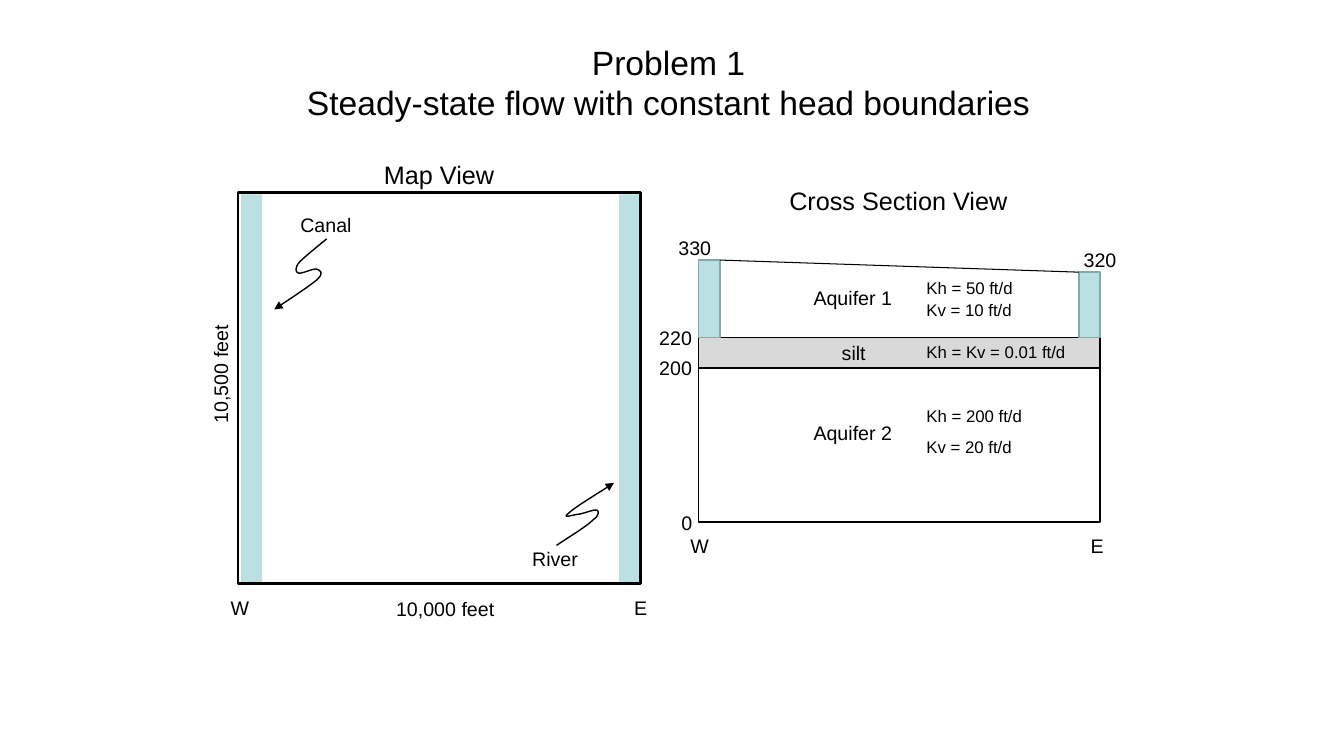
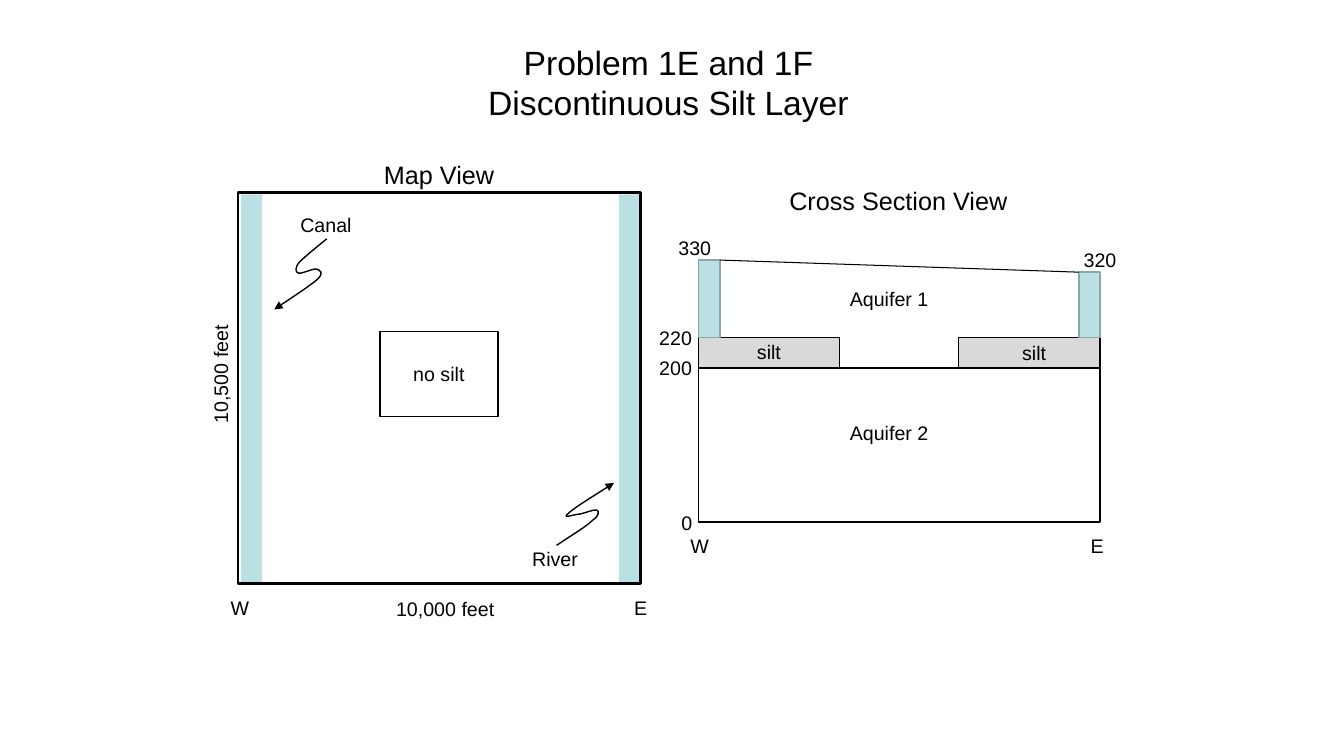
"""Builds two slides on steady-state flow: map view and cross section of an aquifer system."""
from lxml.etree import SubElement
from pptx import Presentation
from pptx.dml.color import RGBColor
from pptx.enum.shapes import MSO_CONNECTOR, MSO_SHAPE
from pptx.enum.text import MSO_ANCHOR, MSO_AUTO_SIZE, PP_ALIGN
from pptx.oxml.ns import qn
from pptx.util import Pt

EMU_PER_PX = 9144
SLIDE_SIZE = (1333, 750)
FONT = "Arial"
BLACK, WHITE, WATER, WATER_EDGE, SILT = "000000", "FFFFFF", "BBE0E3", "8AA6A8", "D9D9D9"
LABEL_HEIGHTS = {12: 30, 14: 34, 18: 40}

TITLE_BOX = (214, 30, 898, 103)
MAP_BOX = (236, 191, 399, 388)
WATER_WIDTH = 21
MAP_WATER_LEFTS = (239, 614)
MAP_WATER_TOP, MAP_WATER_HEIGHT = 193, 386
SECTION_LEFT, SECTION_WIDTH = 693, 398
CANAL_TOP, RIVER_TOP, SILT_TOP, SILT_BASE, SECTION_BASE = 258, 270, 335, 365, 518

MAP_LABELS = [
    ("Map View", 371, 153, 131, 18),
    ("Canal", 288, 206, 71, 14),
    ("River", 518, 538, 66, 14),
    ("W", 219, 586, 39, 14),
    ("E", 619, 586, 33, 14),
    ("10,000 feet", 383, 587, 118, 14),
]
MAP_HEIGHT_LABEL = ("10,500 feet", 160, 354, 118, 14)
SECTION_LABELS = [
    ("Cross Section View", 773, 179, 239, 18),
    ("330", 663, 229, 53, 14),
    ("320", 1065, 241, 53, 14),
    ("220", 644, 318, 53, 14),
    ("200", 644, 348, 53, 14),
    ("0", 666, 502, 31, 14),
    ("W", 675, 525, 39, 14),
    ("E", 1072, 525, 33, 14),
]
POINTERS = [
    [(324, 237), (313, 246), (302, 255), (297, 260), (292, 266), (293, 270), (296, 271),
     (299, 272), (311, 266), (314, 267), (317, 268), (322, 270), (315, 277),
     (308, 283), (290, 295), (272, 307)],
    [(552, 541), (567, 531), (582, 522), (588, 516), (595, 511), (594, 507), (592, 506),
     (590, 505), (580, 509), (575, 510), (570, 510), (557, 515), (563, 510),
     (569, 504), (589, 492), (609, 479)],
]
SLIDES = [
    {
        "title": ("Problem 1", "Steady-state flow with constant head boundaries"),
        "silt": [(693, 398)],
        "no_silt": None,
        "labels": [
            ("Aquifer 1", 797, 279, 99, 14),
            ("Aquifer 2", 797, 413, 99, 14),
            ("silt", 825, 333, 44, 14),
            ("Kh = 50 ft/d", 909, 271, 107, 12),
            ("Kv = 10 ft/d", 909, 292, 106, 12),
            ("Kh = Kv = 0.01 ft/d", 909, 334, 160, 12),
            ("Kh = 200 ft/d", 909, 398, 116, 12),
            ("Kv = 20 ft/d", 909, 428, 106, 12),
        ],
    },
    {
        "title": ("Problem 1E and 1F", "Discontinuous Silt Layer"),
        "silt": [(693, 140), (951, 140)],
        "no_silt": {"box": (377, 329, 117, 84), "label": ("no silt", 400, 354, 71, 14)},
        "labels": [
            ("Aquifer 1", 833, 280, 99, 14),
            ("Aquifer 2", 833, 413, 99, 14),
            ("silt", 741, 332, 44, 14),
            ("silt", 1004, 333, 44, 14),
        ],
    },
]


def emu(*lengths):
    return [length * EMU_PER_PX for length in lengths]


def color(value):
    return RGBColor.from_string(value)


def set_font(paragraph, size):
    paragraph.font.name = FONT
    paragraph.font.size = Pt(size)
    paragraph.font.color.rgb = color(BLACK)


def set_line(shape, line_color, width):
    shape.line.color.rgb = color(line_color)
    shape.line.width = Pt(width)


def add_box(slide, box, fill=None, line=None, width=1):
    shape = slide.shapes.add_shape(MSO_SHAPE.RECTANGLE, *emu(*box))
    shape.shadow.inherit = False
    if fill:
        shape.fill.solid()
        shape.fill.fore_color.rgb = color(fill)
    else:
        shape.fill.background()
    if line:
        set_line(shape, line, width)
    else:
        shape.line.fill.background()


def add_label(slide, text, left, top, width, size):
    label = slide.shapes.add_textbox(*emu(left, top, width, LABEL_HEIGHTS[size]))
    frame = label.text_frame
    frame.word_wrap = False
    frame.auto_size = MSO_AUTO_SIZE.SHAPE_TO_FIT_TEXT
    frame.text = text
    set_font(frame.paragraphs[0], size)
    return label


def add_pointer(slide, points):
    builder = slide.shapes.build_freeform(*emu(*points[0]))
    builder.add_line_segments([tuple(emu(*point)) for point in points[1:]], close=False)
    pointer = builder.convert_to_shape()
    pointer.shadow.inherit = False
    pointer.fill.background()
    set_line(pointer, BLACK, 1)
    segments = list(pointer._element.iter(qn("a:lnTo")))
    outline = segments[0].getparent()
    for first in range(0, len(segments), 3):
        curve = SubElement(outline, qn("a:cubicBezTo"))
        for segment in segments[first:first + 3]:
            curve.append(segment[0])
            outline.remove(segment)
    line = pointer._element.spPr.find(qn("a:ln"))
    SubElement(line, qn("a:tailEnd"), type="triangle")


def add_title(slide, lines):
    title = slide.shapes.title
    title.left, title.top, title.width, title.height = emu(*TITLE_BOX)
    frame = title.text_frame
    frame.auto_size = MSO_AUTO_SIZE.NONE
    frame.vertical_anchor = MSO_ANCHOR.MIDDLE
    frame.text = "\v".join(lines)
    paragraph = frame.paragraphs[0]
    paragraph.alignment = PP_ALIGN.CENTER
    set_font(paragraph, 24)


def add_map_view(slide, no_silt):
    for left in MAP_WATER_LEFTS:
        add_box(slide, (left, MAP_WATER_TOP, WATER_WIDTH, MAP_WATER_HEIGHT), WATER)
    add_box(slide, MAP_BOX, line=BLACK, width=2)
    for label in MAP_LABELS:
        add_label(slide, *label)
    add_label(slide, *MAP_HEIGHT_LABEL).rotation = 270
    for points in POINTERS:
        add_pointer(slide, points)
    if no_silt:
        add_box(slide, no_silt["box"], line=BLACK)
        add_label(slide, *no_silt["label"])


def add_cross_section(slide, silt, labels):
    for left, width in silt:
        add_box(slide, (left, SILT_TOP, width, SILT_BASE - SILT_TOP), SILT, BLACK)
    aquifer = (SECTION_LEFT, SILT_BASE, SECTION_WIDTH, SECTION_BASE - SILT_BASE)
    add_box(slide, aquifer, WHITE, BLACK)
    river_left = SECTION_LEFT + SECTION_WIDTH - WATER_WIDTH
    for left, top in ((SECTION_LEFT, CANAL_TOP), (river_left, RIVER_TOP)):
        add_box(slide, (left, top, WATER_WIDTH, SILT_TOP - top), WATER, WATER_EDGE)
    water_table = slide.shapes.add_connector(
        MSO_CONNECTOR.STRAIGHT,
        *emu(SECTION_LEFT + WATER_WIDTH, CANAL_TOP, river_left, RIVER_TOP))
    set_line(water_table, BLACK, 0.75)
    SubElement(water_table._element.spPr, qn("a:effectLst"))
    for label in SECTION_LABELS + labels:
        add_label(slide, *label)


def main():
    presentation = Presentation()
    presentation.slide_width, presentation.slide_height = emu(*SLIDE_SIZE)
    for content in SLIDES:
        slide = presentation.slides.add_slide(presentation.slide_layouts[5])
        add_title(slide, content["title"])
        add_map_view(slide, content["no_silt"])
        add_cross_section(slide, content["silt"], content["labels"])
    presentation.save("out.pptx")


if __name__ == "__main__":
    main()
